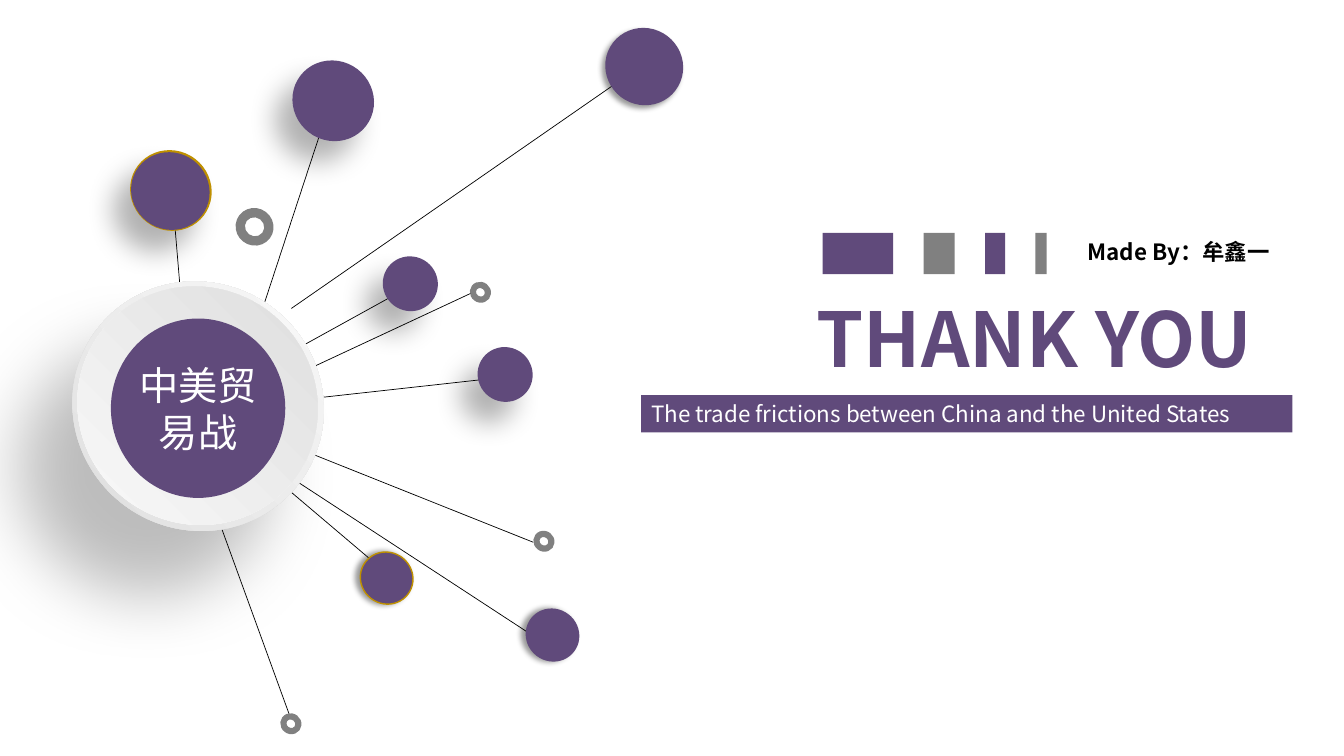
"""Build the closing slide: a hub with radiating dots beside the thank-you title."""
import pptx
import pptx.util
import pptx.dml.color
import pptx.enum.shapes
import pptx.enum.text
import pptx.oxml
import pptx.oxml.ns

PX = 9144
PURPLE, GREY, GOLD = "604A7B", "808080", "BF9000"
BLACK, WHITE = "000000", "FFFFFF"
SANS = "Noto Sans CJK SC"
TILT = 307.4
SHAPE = pptx.enum.shapes.MSO_SHAPE
ALIGN = pptx.enum.text.PP_ALIGN
ANCHOR = pptx.enum.text.MSO_ANCHOR
GROW = pptx.enum.text.MSO_AUTO_SIZE.SHAPE_TO_FIT_TEXT
NAMESPACE = pptx.oxml.ns.nsdecls("a")

deck = pptx.Presentation()
deck.slide_width, deck.slide_height = 1333 * PX, 750 * PX
page = deck.slides.add_slide(deck.slide_layouts[5])


def add_figure(kind, bounds, fill, line=None, shadow=None, tilt=0):
    """Add a preset shape; shadow is opacity, blur, distance and angle."""
    figure = page.shapes.add_shape(kind, *[n * PX for n in bounds])
    figure.rotation = tilt
    figure.shadow.inherit = False
    if isinstance(fill, str):
        figure.fill.solid()
        figure.fill.fore_color.rgb = pptx.dml.color.RGBColor.from_string(fill)
    else:
        near, far = fill
        figure.fill.background()
        blank = figure._element.spPr.find(pptx.oxml.ns.qn("a:noFill"))
        blank.getparent().replace(blank, pptx.oxml.parse_xml(
            f'<a:gradFill {NAMESPACE} rotWithShape="0"><a:gsLst>'
            f'<a:gs pos="0"><a:srgbClr val="{near}"/></a:gs>'
            f'<a:gs pos="100000"><a:srgbClr val="{far}"/></a:gs></a:gsLst>'
            '<a:path path="circle"><a:fillToRect l="100000" b="100000"/></a:path></a:gradFill>'))
    if line:
        figure.line.color.rgb = pptx.dml.color.RGBColor.from_string(line)
        figure.line.width = pptx.util.Pt(1)
    else:
        figure.line.fill.background()
    if shadow:
        opacity, blur, distance, angle = shadow
        effects = figure._element.spPr.find(pptx.oxml.ns.qn("a:effectLst"))
        effects.append(pptx.oxml.parse_xml(
            f'<a:outerShdw {NAMESPACE} blurRad="{blur * 12700}" dist="{distance * 12700}" '
            f'dir="{angle * 60000}" algn="ctr" rotWithShape="0"><a:srgbClr val="{BLACK}">'
            f'<a:alpha val="{opacity * 1000}"/></a:srgbClr></a:outerShdw>'))
    return figure


def write_text(box, text, size, color, font=SANS, bold=False, align=ALIGN.LEFT, **frame):
    """Write one formatted paragraph, with frame settings passed by name."""
    box.text_frame.word_wrap = True
    for name, value in frame.items():
        setattr(box.text_frame, name, value)
    para = box.text_frame.paragraphs[0]
    para.alignment = align
    span = para.add_run()
    span.text = text
    span.font.color.rgb = pptx.dml.color.RGBColor.from_string(color)
    for name, value in {"name": font, "size": pptx.util.Pt(size), "bold": bold}.items():
        setattr(span.font, name, value)
    span.font._element.append(pptx.oxml.parse_xml(f'<a:ea {NAMESPACE} typeface="{SANS}"/>'))


title = page.shapes.title
for name, value in {"left": 800, "top": 285, "width": 507, "height": 101}.items():
    setattr(title, name, value * PX)
write_text(title, "THANK YOU", 54, PURPLE, bold=True,
           vertical_anchor=ANCHOR.TOP, auto_size=GROW)

spokes = [
    (549, 644, 292, 476), (648, 57, 289, 306), (302, 368, 467, 291),
    (291, 443, 529, 538), (203, 478, 287, 709), (502, 374, 258, 401),
    (246, 452, 384, 569), (396, 290, 291, 348), (169, 171, 180, 302),
    (316, 137, 252, 332),
]
for ends in spokes:
    spoke = page.shapes.add_connector(
        pptx.enum.shapes.MSO_CONNECTOR.STRAIGHT, *[n * PX for n in ends])
    spoke.line.color.rgb = pptx.dml.color.RGBColor.from_string(BLACK)
    spoke.line.width = pptx.util.Pt(0.5)
    spoke._element.spPr.append(pptx.oxml.parse_xml(f"<a:effectLst {NAMESPACE}/>"))

add_figure(SHAPE.OVAL, (74, 277, 245, 252), (WHITE, "D9D9D9"),
           shadow=(25, 50, 60, 130), tilt=TILT)
add_figure(SHAPE.OVAL, (79, 282, 234, 241), ("D9D9D9", "FEFEFE"), tilt=TILT)
hub = add_figure(SHAPE.OVAL, (110, 316, 173, 178), PURPLE)
write_text(hub, "中美贸易战", 28, WHITE, font="Roboto", align=ALIGN.CENTER,
           vertical_anchor=ANCHOR.MIDDLE, margin_left=0, margin_right=0)

add_figure(SHAPE.DONUT, (234, 206, 37, 38), GREY, tilt=TILT)
for left, top in [(467, 280), (530, 527), (279, 708)]:
    add_figure(SHAPE.DONUT, (left, top, 19, 20), GREY, line=GREY, tilt=TILT)

raised_dots = [
    (380, 254, 54, 55, PURPLE), (474, 344, 54, 55, PURPLE),
    (130, 148, 79, 82, GOLD), (291, 59, 79, 82, PURPLE),
]
for left, top, width, height, rim in raised_dots:
    add_figure(SHAPE.OVAL, (left, top, width, height), rim,
               shadow=(30, 20, 19, 130), tilt=TILT)
    add_figure(SHAPE.OVAL, (left + 1, top + 2, width - 3, height - 3), PURPLE, tilt=TILT)

flat_dots = [
    ((358, 547, 51, 53), GOLD, 180),
    ((601, 27, 76, 78), None, 135),
    ((522, 603, 52, 54), None, 180),
]
for bounds, rim, angle in flat_dots:
    add_figure(SHAPE.OVAL, bounds, PURPLE, line=rim, shadow=(40, 4, 3, angle), tilt=TILT)

banner = add_figure(SHAPE.RECTANGLE, (636, 392, 646, 37), PURPLE)
write_text(banner, "The trade frictions between China and the United States", 16, WHITE,
           align=ALIGN.JUSTIFY, vertical_anchor=ANCHOR.TOP, auto_size=GROW)

left = 816
for width, color in [(70, PURPLE), (31, GREY), (20, PURPLE), (11, GREY)]:
    add_figure(SHAPE.RECTANGLE, (left, 231, width, 41), color)
    left += width + 30

author = page.shapes.add_textbox(*[n * PX for n in (1069, 231, 213, 37)])
write_text(author, "Made By：牟鑫一", 16, BLACK, bold=True, align=ALIGN.JUSTIFY,
           auto_size=GROW)

deck.save("out.pptx")
